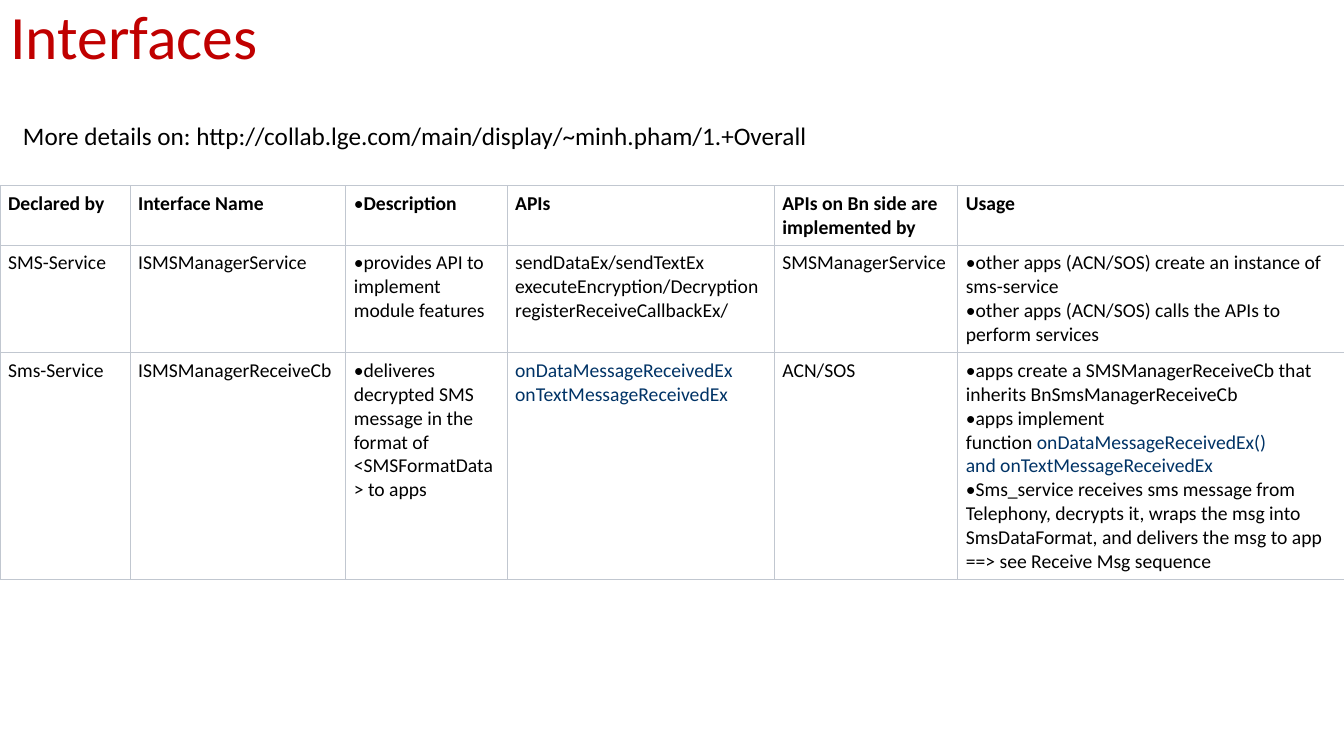
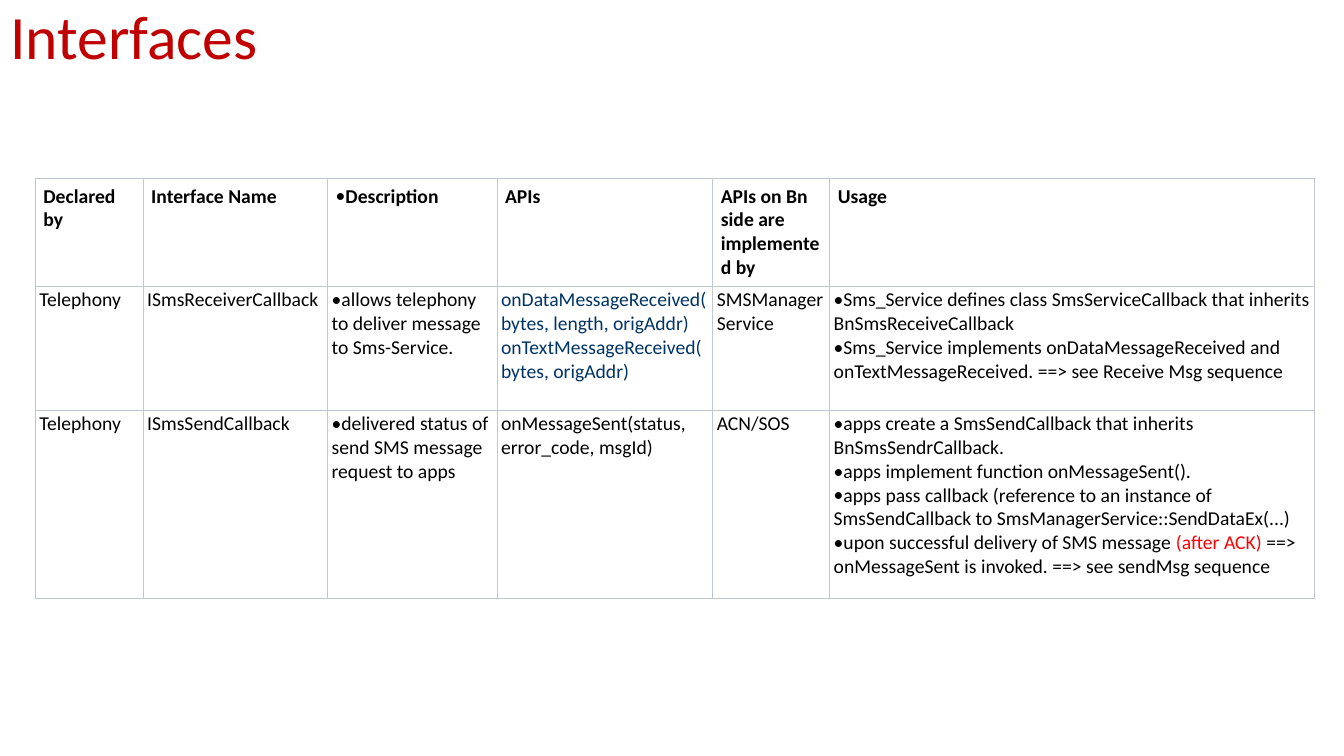
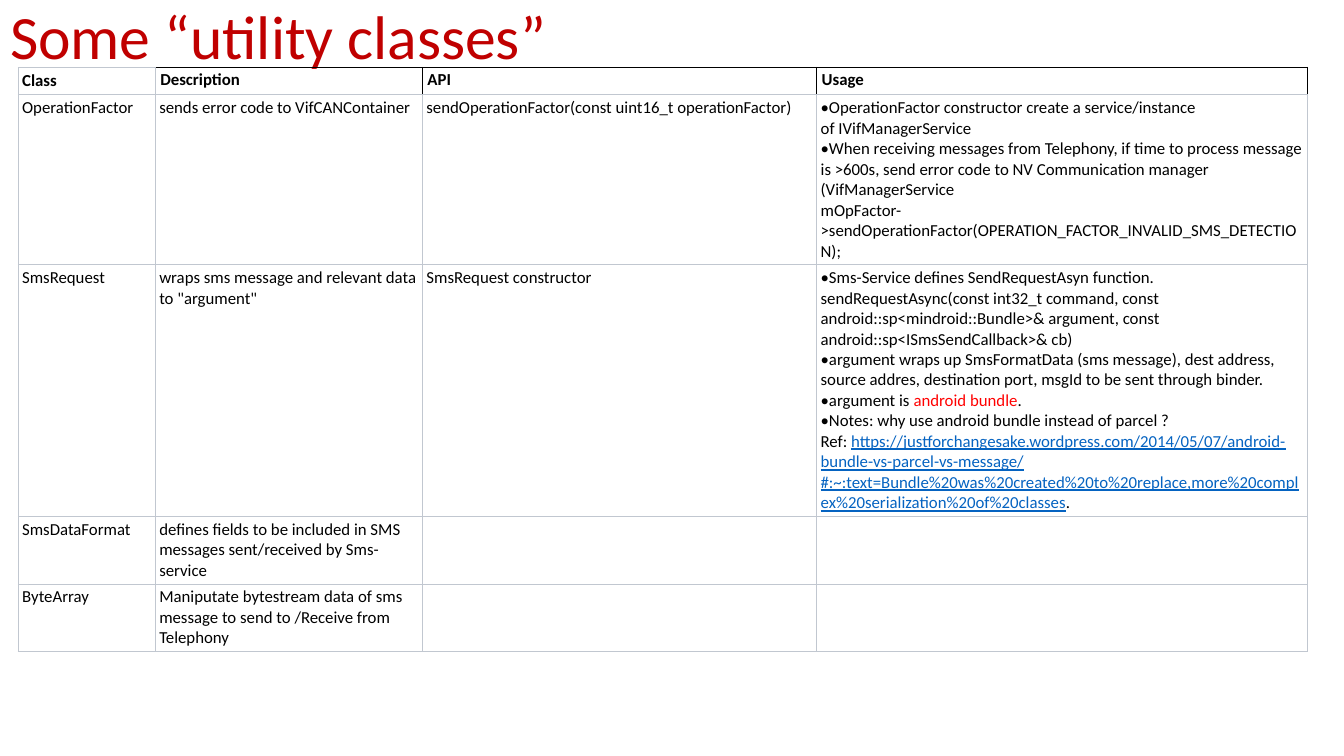
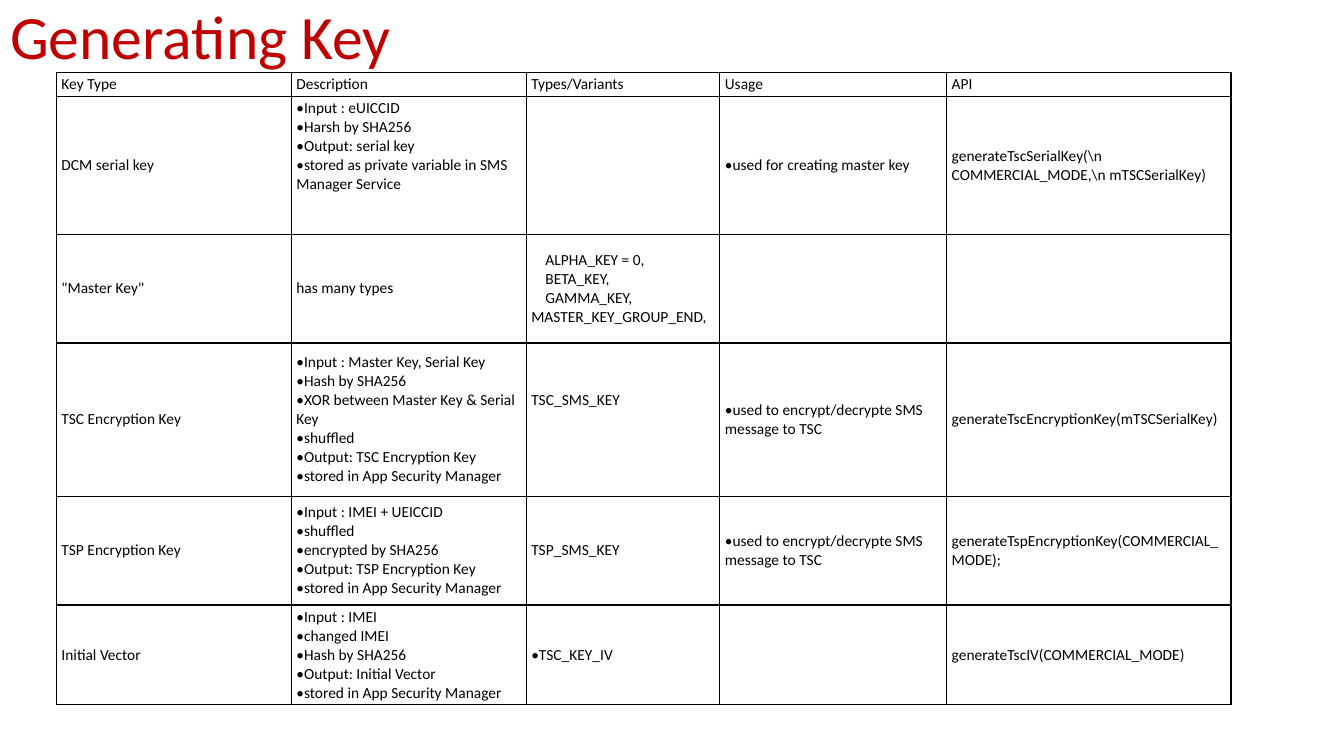
"""Build four table slides about SMS interfaces, utility classes and keys."""
from dataclasses import dataclass, field
from itertools import product

import pptx
import pptx.dml.color
import pptx.enum.text
import pptx.oxml.ns
import pptx.util
from lxml import etree
from pptx.util import Inches


class Theme:
    font = "Calibri"
    title_size, note_size = 44, 18
    title, text, fill = "C00000", "000000", "FFFFFF"
    rule, rule_width = "C1C7D0", 0.6
    dark_rule, dark_rule_width = "000000", 1
    spans = {"code": "003366", "alert": "FF0000", "link": "0563C1"}
    wide, tight, close, dark = (0.08, 0.06), (0.04, 0.02), (0.04, 0.03), (0.05, 0.02)
    indent, lift = 0.14, 0.4


@dataclass
class Grid:
    left: float
    top: float
    columns: list
    heights: list
    size: int
    rows: list
    head_margins: tuple
    body_margins: tuple
    bold_head: bool = True
    middle: bool = False
    dark_cells: set = field(default_factory=set)
    lifted: set = field(default_factory=set)


BULLET, INDENT, JOINED = "•", "> ", chr(160)
INTERFACE_HEAD = ["Declared by", "Interface Name", "•Description", "APIs",
                  "APIs on Bn side are implemented by", "Usage"]

SERVICE_ROWS = [
    INTERFACE_HEAD,
    ["SMS-Service", "ISMSManagerService", "•provides API to implement module features",
     ("sendDataEx/sendTextEx", "executeEncryption/Decryption", "registerReceiveCallbackEx/"),
     "SMSManagerService",
     ("•other apps (ACN/SOS) create an instance of sms-service",
      "•other apps (ACN/SOS) calls the APIs to perform services")],
    ["Sms-Service", "ISMSManagerReceiveCb",
     "•deliveres decrypted SMS message in the format of <SMSFormatData> to apps",
     ([("onDataMessageReceivedEx", "code")], [("onTextMessageReceivedEx", "code")]),
     "ACN/SOS",
     ("•apps create a SMSManagerReceiveCb that inherits BnSmsManagerReceiveCb",
      [f"•apps implement function{JOINED}",
       (f"onDataMessageReceivedEx() and{JOINED}onTextMessageReceivedEx", "code")],
      "•Sms_service receives sms message from Telephony, decrypts it, wraps the msg into "
      "SmsDataFormat, and delivers the msg to app ==> see Receive Msg sequence")],
]

CALLBACK_ROWS = [
    INTERFACE_HEAD,
    ["Telephony", "ISmsReceiverCallback", "•allows telephony to deliver message to Sms-Service.",
     ([("onDataMessageReceived(bytes, length, origAddr)", "code")],
      [("onTextMessageReceived(bytes, origAddr)", "code")]),
     "SMSManagerService",
     ("•Sms_Service defines class SmsServiceCallback that inherits BnSmsReceiveCallback",
      "•Sms_Service implements onDataMessageReceived and onTextMessageReceived. "
      "==> see Receive Msg sequence")],
    ["Telephony", "ISmsSendCallback", "•delivered status of send SMS message request to apps",
     "onMessageSent(status, error_code, msgId)", "ACN/SOS",
     ("•apps create a SmsSendCallback that inherits BnSmsSendrCallback.",
      "•apps implement function onMessageSent().",
      "•apps pass callback (reference to an instance of SmsSendCallback to "
      "SmsManagerService::SendDataEx(...)",
      ["•upon successful delivery of SMS message ", ("(after ACK)", "alert"),
       " ==> onMessageSent is invoked. ==> see sendMsg sequence"])],
]

CLASS_ROWS = [
    ["Class", "Description", "API", "Usage"],
    ["OperationFactor", "sends error code to VifCANContainer",
     "sendOperationFactor(const uint16_t operationFactor)",
     (f"•OperationFactor constructor create a service/instance of{JOINED}IVifManagerService",
      "•When receiving messages from Telephony, if time to process message is >600s, "
      "send error code to NV Communication manager (VifManagerService",
      "mOpFactor->sendOperationFactor(OPERATION_FACTOR_INVALID_SMS_DETECTION);")],
    ["SmsRequest", 'wraps sms message and relevant data to "argument"', "SmsRequest constructor",
     ("•Sms-Service defines SendRequestAsyn function.",
      "sendRequestAsync(const int32_t command, const android::sp<mindroid::Bundle>& argument, "
      "const android::sp<ISmsSendCallback>& cb)",
      "•argument wraps up SmsFormatData (sms message), dest address, source addres, "
      "destination port, msgId to be sent through binder.",
      ["•argument is ", ("android bundle", "alert"), "."],
      [f"•Notes: why use android bundle instead of parcel ? Ref:{JOINED}",
       ("https://justforchangesake.wordpress.com/2014/05/07/android-bundle-vs-parcel-vs-message/"
        "#:~:text=Bundle%20was%20created%20to%20replace,more%20complex%20serialization"
        "%20of%20classes", "link"), "."])],
    ["SmsDataFormat", "defines fields to be included in SMS messages sent/received by Sms-service",
     "", ""],
    ["ByteArray", "Maniputate bytestream data of sms message to send to /Receive from Telephony",
     "", ""],
]

STORED = "•stored in App Security Manager"
SMS_USAGE = "•used to encrypt/decrypte SMS message to TSC"
KEY_ROWS = [
    ["Key Type", "Description", "Types/Variants", "Usage", "API"],
    ["DCM serial key",
     ("•Input : eUICCID", "•Harsh by SHA256", "•Output: serial key",
      "•stored as private variable in SMS Manager Service"),
     "", "•used for creating master key",
     r"generateTscSerialKey(\n COMMERCIAL_MODE,\n mTSCSerialKey)"],
    ['"Master Key"', "has many types",
     ("> ALPHA_KEY = 0,", "> BETA_KEY,", "> GAMMA_KEY,", "MASTER_KEY_GROUP_END,"), "", ""],
    ["TSC Encryption Key",
     ("•Input : Master Key, Serial Key", "•Hash by SHA256",
      "•XOR between Master Key & Serial Key", "•shuffled", "•Output: TSC Encryption Key", STORED),
     "TSC_SMS_KEY", SMS_USAGE, "generateTscEncryptionKey(mTSCSerialKey)"],
    ["TSP Encryption Key",
     ("•Input : IMEI + UEICCID", "•shuffled", "•encrypted by SHA256",
      "•Output: TSP Encryption Key", STORED),
     "TSP_SMS_KEY", SMS_USAGE, "generateTspEncryptionKey(COMMERCIAL_MODE);"],
    ["Initial Vector",
     ("•Input : IMEI", "•changed IMEI", "•Hash by SHA256", "•Output: Initial Vector", STORED),
     "•TSC_KEY_IV", "", "generateTscIV(COMMERCIAL_MODE)"],
]

NOTE = "More details on: http://collab.lge.com/main/display/~minh.pham/1.+Overall"
PAGES = [
    ("Interfaces", NOTE,
     Grid(0, 1.84, [1.29, 2.14, 1.6, 2.65, 1.82, 3.83], [0.59, 1.06, 2.25], 14,
          SERVICE_ROWS, Theme.wide, Theme.wide)),
    ("Interfaces", None,
     Grid(0.35, 1.77, [1.07, 1.83, 1.68, 2.14, 1.16, 4.81], [1.06, 1.23, 1.87], 14,
          CALLBACK_ROWS, Theme.wide, Theme.tight)),
    ("Some “utility classes”", None,
     Grid(0.18, 0.67, [1.36, 2.65, 3.91, 4.87], [0.27, 1.68, 2.48, 0.67, 0.67], 12,
          CLASS_ROWS, Theme.close, Theme.close, dark_cells={(0, 1), (0, 2), (0, 3)})),
    ("Generating Key", None,
     Grid(0.56, 0.72, [2.33, 2.33, 1.92, 2.25, 2.82], [0.24, 1.36, 1.08, 1.52, 1.08, 0.99], 11,
          KEY_ROWS, Theme.dark, Theme.dark, bold_head=False, middle=True,
          dark_cells=set(product(range(6), range(5))), lifted={(1, 1), (3, 2)})),
]


def rgb(value):
    return pptx.dml.color.RGBColor.from_string(value)


def style(font, size, colour, bold=False):
    font.name, font.size, font.bold = Theme.font, pptx.util.Pt(size), bold
    font.color.rgb = rgb(colour)


def child(parent, tag, **attributes):
    return etree.SubElement(parent, pptx.oxml.ns.qn(tag), attributes)


def write_paragraph(para, content, size, bold):
    spans = [content] if isinstance(content, str) else content
    for index, item in enumerate(spans):
        text, kind = (item, None) if isinstance(item, str) else item
        if index == 0 and text.startswith(BULLET):
            text = text.removeprefix(BULLET)
            properties = para._p.get_or_add_pPr()
            properties.set("marL", "0")
            properties.set("indent", "0")
            child(properties, "a:buFont", typeface=Theme.font)
            child(properties, "a:buChar", char=BULLET)
        elif index == 0 and text.startswith(INDENT):
            text = text.removeprefix(INDENT)
            para._p.get_or_add_pPr().set("marL", str(Inches(Theme.indent)))
        span = para.add_run()
        span.text = text
        style(span.font, size, Theme.spans.get(kind, Theme.text), bold)
        if kind == "link":
            span.font.underline = True


def draw_borders(cell, place, grid):
    row, column = place
    neighbours = {"L": (row, column - 1), "R": (row, column + 1),
                  "T": (row - 1, column), "B": (row + 1, column)}
    for side, (next_row, next_column) in neighbours.items():
        inside = 0 <= next_row < len(grid.heights) and 0 <= next_column < len(grid.columns)
        dark = place in grid.dark_cells and (
            not inside or (next_row, next_column) in grid.dark_cells)
        width = Theme.dark_rule_width if dark else Theme.rule_width
        line = child(cell._tc.get_or_add_tcPr(), f"a:ln{side}", w=str(pptx.util.Pt(width)))
        child(child(line, "a:solidFill"), "a:srgbClr", val=Theme.dark_rule if dark else Theme.rule)


def fill_cell(cell, content, place, grid):
    dark = place in grid.dark_cells
    side, edge = grid.body_margins if place[0] else grid.head_margins
    if dark:
        side, edge = Theme.dark
    cell.margin_left = cell.margin_right = Inches(side)
    cell.margin_top = Inches(edge)
    cell.margin_bottom = Inches(Theme.lift if place in grid.lifted else edge)
    anchors = pptx.enum.text.MSO_ANCHOR
    cell.vertical_anchor = anchors.MIDDLE if grid.middle else anchors.TOP
    draw_borders(cell, place, grid)
    if dark:
        cell.fill.background()
    else:
        cell.fill.solid()
        cell.fill.fore_color.rgb = rgb(Theme.fill)
    if not content:
        return
    frame = cell.text_frame
    for index, item in enumerate(content if isinstance(content, tuple) else (content,)):
        para = frame.add_paragraph() if index else frame.paragraphs[0]
        write_paragraph(para, item, grid.size, grid.bold_head and place[0] == 0)


def add_grid(page, grid):
    table = page.shapes.add_table(
        len(grid.heights), len(grid.columns), Inches(grid.left), Inches(grid.top),
        Inches(sum(grid.columns)), Inches(sum(grid.heights))).table
    table.first_row = table.horz_banding = False
    for column, width in zip(table.columns, grid.columns):
        column.width = Inches(width)
    for row, height in zip(table.rows, grid.heights):
        row.height = Inches(height)
    for row, contents in enumerate(grid.rows):
        for column, content in enumerate(contents):
            fill_cell(table.cell(row, column), content, (row, column), grid)


def add_page(deck, title):
    page = deck.slides.add_slide(deck.slide_layouts[5])
    box = page.shapes.title
    box.left, box.top, box.width, box.height = 0, 0, deck.slide_width, Inches(0.78)
    frame = box.text_frame
    frame.text = title
    frame.auto_size = pptx.enum.text.MSO_AUTO_SIZE.NONE
    frame.vertical_anchor = pptx.enum.text.MSO_ANCHOR.MIDDLE
    para = frame.paragraphs[0]
    para.alignment = pptx.enum.text.PP_ALIGN.LEFT
    para.line_spacing = 0.9
    style(para.runs[0].font, Theme.title_size, Theme.title)
    return page


def add_note(page, text):
    box = page.shapes.add_textbox(Inches(0.13), Inches(1.14), Inches(10.67), Inches(0.4))
    box.text_frame.word_wrap = True
    box.text_frame.text = text
    style(box.text_frame.paragraphs[0].runs[0].font, Theme.note_size, Theme.text)


def main():
    deck = pptx.Presentation()
    deck.slide_width, deck.slide_height = Inches(13.33), Inches(7.5)
    for title, note, grid in PAGES:
        page = add_page(deck, title)
        add_grid(page, grid)
        if note:
            add_note(page, note)
    deck.save("out.pptx")


if __name__ == "__main__":
    main()
